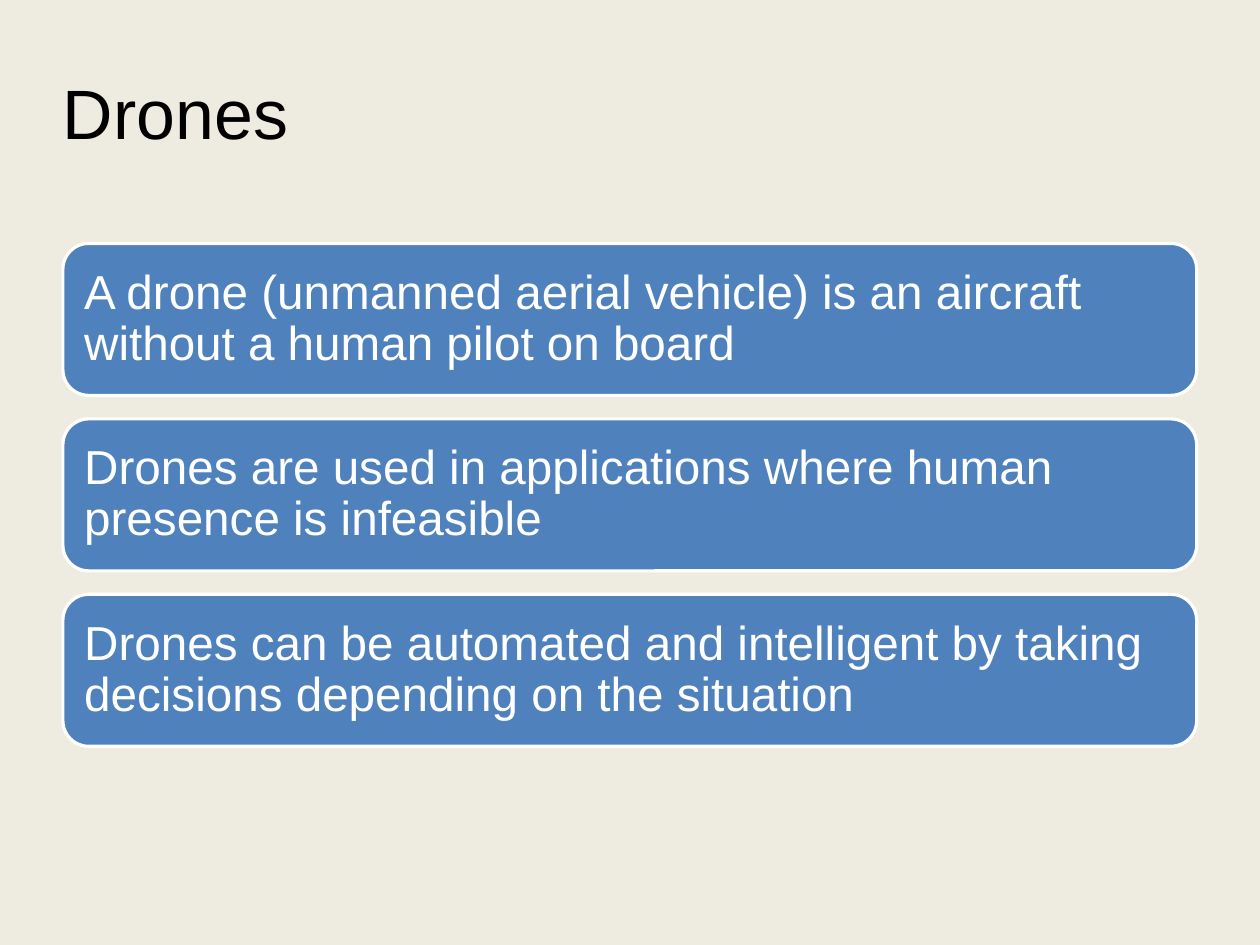
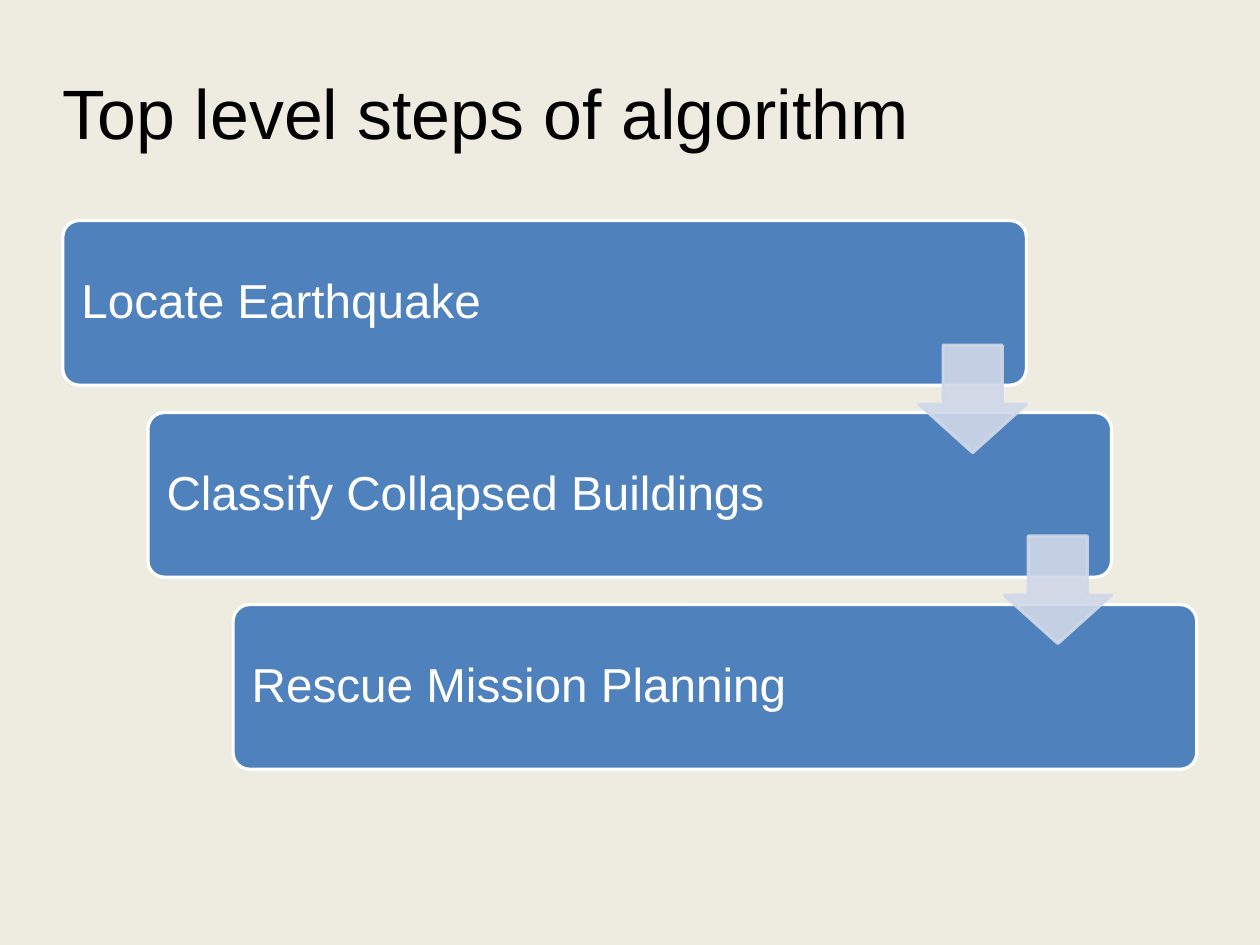
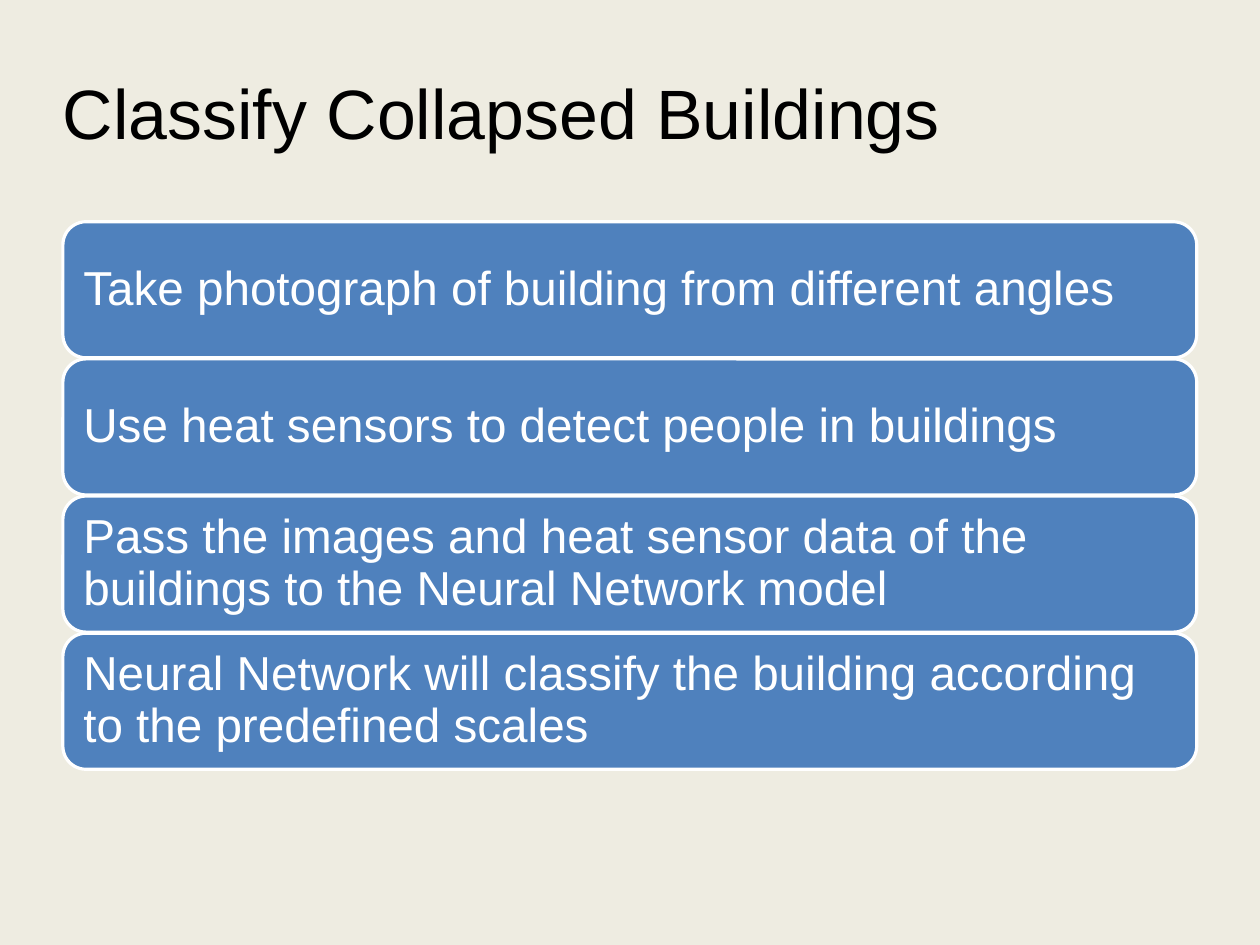
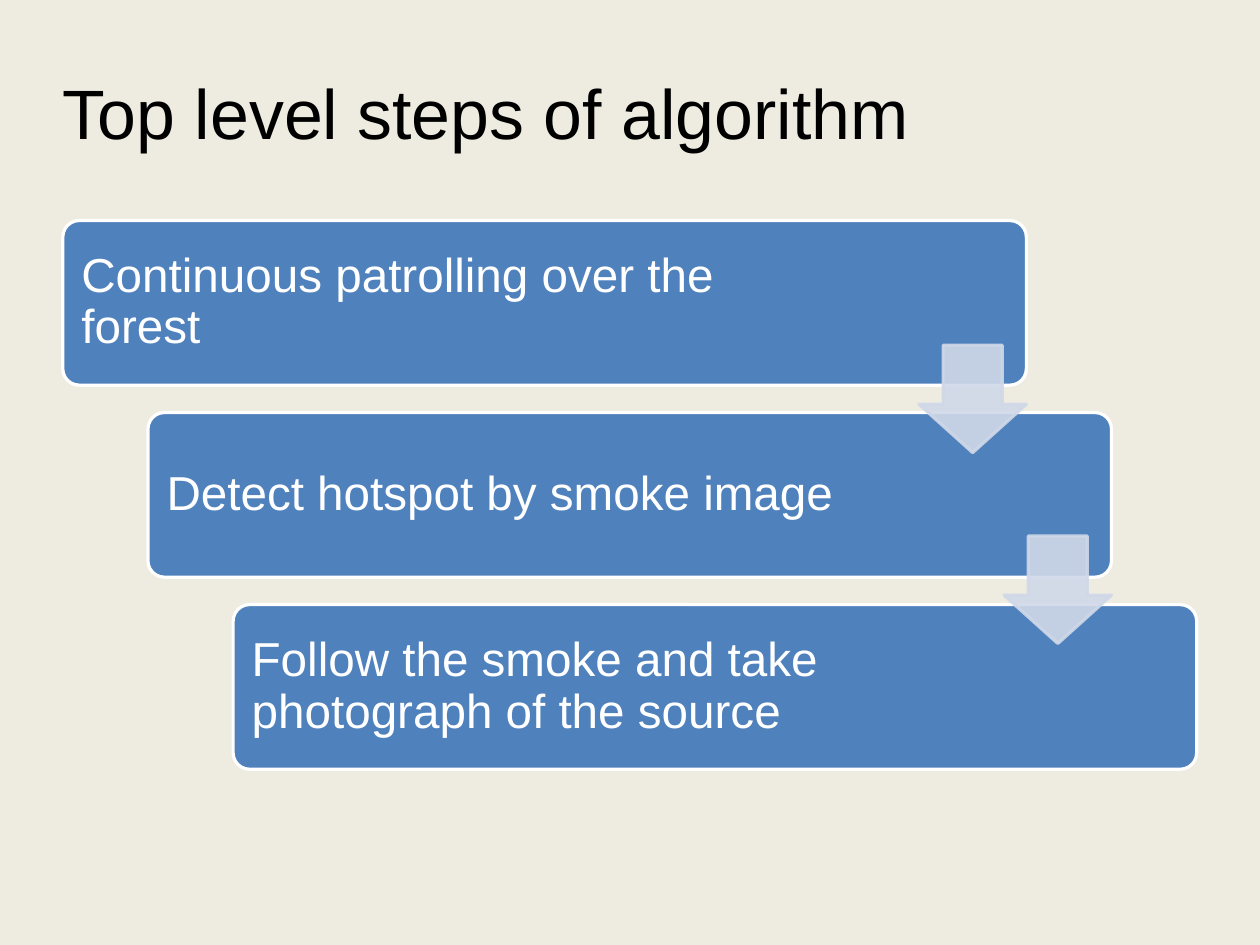
from dataclasses import dataclass

from lxml.etree import SubElement
from pptx import Presentation
from pptx.dml.color import RGBColor
from pptx.enum.shapes import MSO_SHAPE as Preset
from pptx.enum.text import MSO_ANCHOR as Anchor, PP_ALIGN as Align
from pptx.oxml.ns import qn
from pptx.util import Inches, Pt

COLORS = {
    "background": "EEECE1",
    "title": "000000",
    "card": "4F81BD",
    "card_text": "FFFFFF",
    "outline": "FFFFFF",
    "arrow": "D0D8E8",
}
FONT = "Arial"
TITLE_SIZE, CARD_SIZE = 44, 30
LINE_SPACING = 0.9
CM_PER_INCH = 2.54
PAGE_WIDTH, PAGE_HEIGHT = 28 / CM_PER_INCH, 21 / CM_PER_INCH
LEFT, WIDTH = 0.55, 9.92
INSET = 0.12

STEP_WIDTH, STEP_HEIGHT = 8.43, 1.44
STEP_TOP, STEP_PITCH = 1.93, 1.68
FIRST_STEP_INSET, LATER_STEP_INSET = 1.59, 1.8
ARROW_SIZE = 0.94
ARROW_TOP, ARROW_PITCH = 3.02, 1.67
ARROW_OPACITY = 90


@dataclass
class Card:
    text: str
    left: float
    top: float
    width: float
    height: float
    corner: float = 0.17
    right_inset: float = INSET


@dataclass
class CardList:
    """Full-width cards spread evenly between top and bottom."""
    title: str
    texts: list[str]
    top: float
    bottom: float
    card_height: float


@dataclass
class Staircase:
    """Cards stepping down to the right, joined by arrows."""
    title: str
    texts: list[str]


SLIDES = [
    CardList("Drones", [
        "A drone (unmanned aerial vehicle) is an aircraft without a human pilot on board",
        "Drones are used in applications where human presence is infeasible",
        "Drones can be automated and intelligent by taking decisions depending on the situation",
    ], top=2.13, bottom=6.53, card_height=1.33),
    Staircase("Top level steps of algorithm", [
        "Locate Earthquake",
        "Classify Collapsed Buildings",
        "Rescue Mission Planning",
    ]),
    CardList("Classify Collapsed Buildings", [
        "Take photograph of building from different angles",
        "Use heat sensors to detect people in buildings",
        "Pass the images and heat sensor data of the buildings to the Neural Network model",
        "Neural Network will classify the building according to the predefined scales",
    ], top=1.94, bottom=6.73, card_height=1.19),
    Staircase("Top level steps of algorithm", [
        "Continuous patrolling over the forest",
        "Detect hotspot by smoke image",
        "Follow the smoke and take photograph of the source",
    ]),
]


def color(name: str) -> RGBColor:
    return RGBColor.from_string(COLORS[name])


def write(shape, text: str, size: float, color_name: str,
          inset: float = 0, right_inset: float = 0) -> None:
    frame = shape.text_frame
    frame.word_wrap = True
    frame.vertical_anchor = Anchor.MIDDLE
    frame.margin_left = frame.margin_top = frame.margin_bottom = Inches(inset)
    frame.margin_right = Inches(right_inset)
    para = frame.paragraphs[0]
    para.alignment = Align.LEFT
    para.line_spacing = LINE_SPACING
    span = para.add_run()
    span.text = text
    span.font.name = FONT
    span.font.size = Pt(size)
    span.font.color.rgb = color(color_name)


def add_title(page, text: str) -> None:
    box = page.shapes.add_textbox(Inches(LEFT), Inches(0.33), Inches(WIDTH), Inches(1.38))
    write(box, text, TITLE_SIZE, "title")


def add_preset(page, preset, left: float, top: float, width: float, height: float,
               fill: str, line: str):
    shape = page.shapes.add_shape(
        preset, Inches(left), Inches(top), Inches(width), Inches(height))
    shape.shadow.inherit = False
    shape.fill.solid()
    shape.fill.fore_color.rgb = color(fill)
    shape.line.color.rgb = color(line)
    shape.line.width = Pt(2)
    return shape


def add_card(page, card: Card) -> None:
    shape = add_preset(page, Preset.ROUNDED_RECTANGLE, card.left, card.top,
                       card.width, card.height, "card", "outline")
    shape.adjustments[0] = card.corner
    write(shape, card.text, CARD_SIZE, "card_text", INSET, card.right_inset)


def add_arrow(page, left: float, top: float) -> None:
    arrow = add_preset(page, Preset.DOWN_ARROW, left, top, ARROW_SIZE, ARROW_SIZE,
                       "arrow", "arrow")
    arrow.adjustments[0] = 0.55
    arrow.adjustments[1] = 0.45
    for tint in arrow.element.spPr.iter(qn("a:srgbClr")):
        SubElement(tint, qn("a:alpha"), val=str(ARROW_OPACITY * 1000))


def draw_card_list(page, content: CardList) -> None:
    pitch = (content.bottom - content.top - content.card_height) / (len(content.texts) - 1)
    for index, text in enumerate(content.texts):
        add_card(page, Card(text, LEFT, content.top + index * pitch,
                            WIDTH, content.card_height))


def draw_staircase(page, content: Staircase) -> None:
    last = len(content.texts) - 1
    shift = (WIDTH - STEP_WIDTH) / last
    for index, text in enumerate(content.texts):
        right_inset = LATER_STEP_INSET if index else FIRST_STEP_INSET
        add_card(page, Card(text, LEFT + index * shift, STEP_TOP + index * STEP_PITCH,
                            STEP_WIDTH, STEP_HEIGHT, 0.1, right_inset))
    arrow_left = LEFT + STEP_WIDTH - ARROW_SIZE
    for index in range(last):
        add_arrow(page, arrow_left + index * shift, ARROW_TOP + index * ARROW_PITCH)


def main() -> None:
    deck = Presentation()
    deck.slide_width, deck.slide_height = Inches(PAGE_WIDTH), Inches(PAGE_HEIGHT)
    backdrop = deck.slide_master.background.fill
    backdrop.solid()
    backdrop.fore_color.rgb = color("background")
    for content in SLIDES:
        page = deck.slides.add_slide(deck.slide_layouts[6])
        add_title(page, content.title)
        if isinstance(content, CardList):
            draw_card_list(page, content)
        else:
            draw_staircase(page, content)
    deck.save("out.pptx")


if __name__ == "__main__":
    main()
